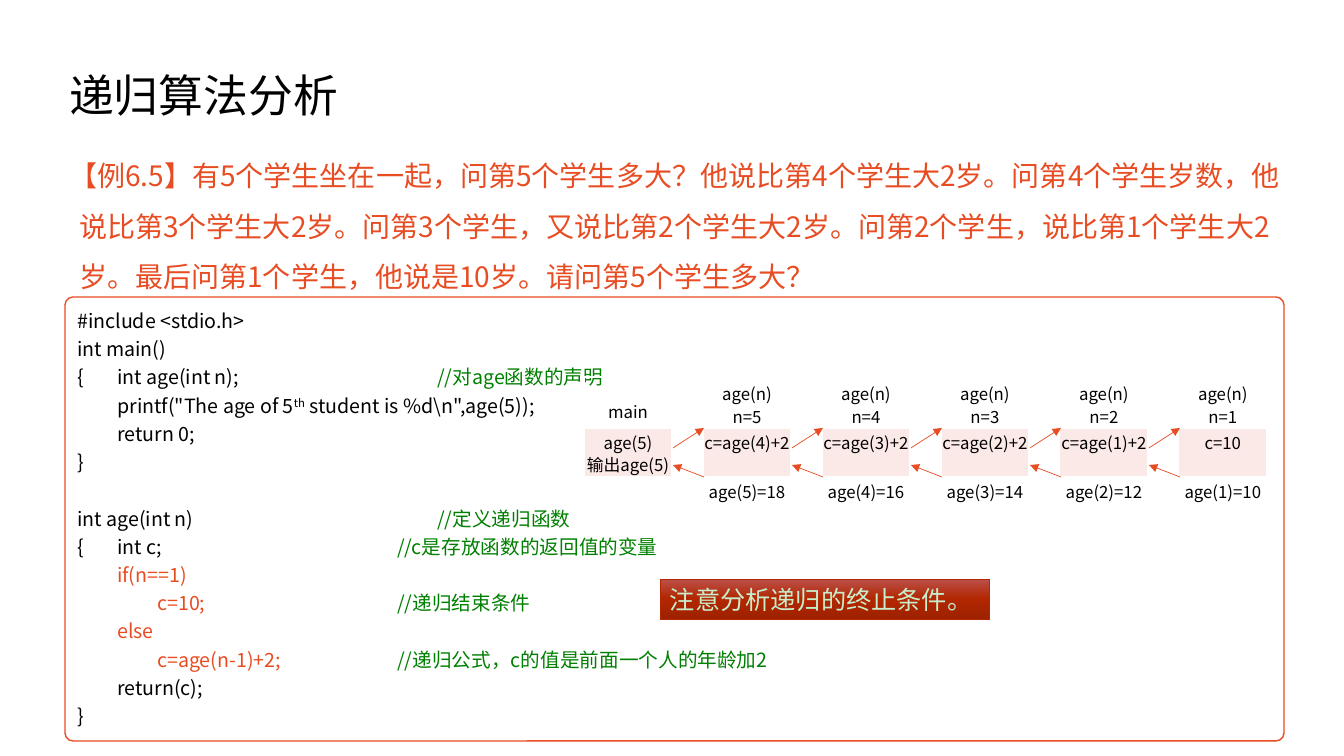
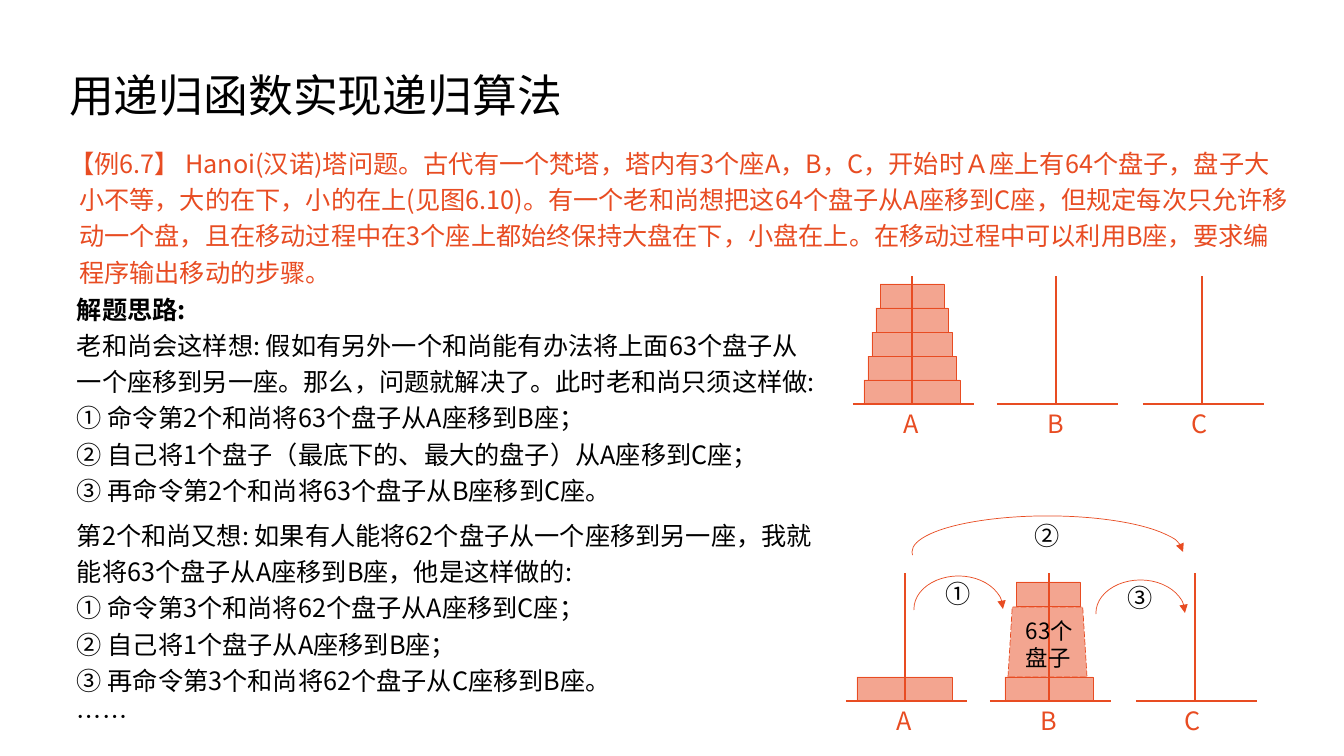
import copy
import pptx
import pptx.util
import pptx.dml.color
import pptx.enum.dml
import pptx.enum.shapes
import pptx.enum.text
import pptx.oxml.ns
import pptx.oxml.xmlchemy

RGB = pptx.dml.color.RGBColor
Pt = pptx.util.Pt
SHAPE = pptx.enum.shapes.MSO_SHAPE
ALIGN = pptx.enum.text.PP_ALIGN
ANCHOR = pptx.enum.text.MSO_ANCHOR
qn = pptx.oxml.ns.qn
element = pptx.oxml.xmlchemy.OxmlElement

FONT = "Noto Sans CJK SC"
BLACK = RGB(0, 0, 0)
WHITE = RGB(255, 255, 255)
ORANGE = RGB(0xE8, 0x4C, 0x22)
GREEN = RGB(0, 0x80, 0)
PALE_GREEN = RGB(0xC7, 0xED, 0xCC)
PINK = RGB(0xFB, 0xE9, 0xE8)
BRICK = RGB(0xB2, 0x26, 0)
BRICK_LIGHT = RGB(0xBB, 0x51, 0x4B)
BRICK_DARK = RGB(0x9E, 0x22, 0)
SCALE = 914400 / 100.8


def write(tf, paragraphs, size, color=BLACK, spacing=1.0, align=ALIGN.LEFT, tabs=()):
    tf.word_wrap = True
    for i, runs in enumerate(paragraphs):
        p = tf.paragraphs[0] if i == 0 else tf.add_paragraph()
        formats = {"alignment": align, "line_spacing": spacing, "space_before": Pt(0)}
        for name, value in formats.items():
            setattr(p, name, value)
        if tabs:
            tab_list = element("a:tabLst")
            for pos in tabs:
                tab = element("a:tab")
                tab.set("pos", str(int(pos * SCALE)))
                tab.set("algn", "l")
                tab_list.append(tab)
            p._p.get_or_add_pPr().append(tab_list)
        for text, fmt in [(runs, {})] if isinstance(runs, str) else runs:
            r = p.add_run()
            r.text = text
            for name, value in {"size": Pt(size), "name": FONT, "bold": fmt.get("bold", False)}.items():
                setattr(r.font, name, value)
            r.font.color.rgb = fmt.get("color", color)
            rPr = r._r.get_or_add_rPr()
            ea = element("a:ea")
            ea.set("typeface", FONT)
            rPr.append(ea)
            if "baseline" in fmt:
                rPr.set("baseline", fmt["baseline"])


def draw(s, kind, box, line=ORANGE, width=0.5, fill=None, alpha=None, arrow=False):
    box = [int(v * SCALE) for v in box]
    if kind == "line":
        sp = s.shapes.add_connector(pptx.enum.shapes.MSO_CONNECTOR.STRAIGHT, *box)
    else:
        sp = s.shapes.add_shape(kind, *box)
        sp.shadow.inherit = False
        if fill is None:
            sp.fill.background()
        else:
            sp.fill.solid()
            sp.fill.fore_color.rgb = fill
        if alpha:
            a = element("a:alpha")
            a.set("val", str(alpha * 1000))
            sp._element.spPr.find(qn("a:solidFill"))[0].append(a)
    sp.line.color.rgb = line
    sp.line.width = Pt(width)
    if kind == "line":
        sp._element.spPr.append(element("a:effectLst"))
    if arrow:
        tail = element("a:tailEnd")
        tail.set("type", "triangle")
        sp._element.spPr.find(qn("a:ln")).append(tail)
    return sp


prs = pptx.Presentation()
prs.slide_width = int(1344 * SCALE)
prs.slide_height = int(756 * SCALE)
layout = prs.slide_layouts[1]

topics = [
    ("递归算法分析", 60, 20, 36,
     "【例6.5】有5个学生坐在一起，问第5个学生多大？他说比第4个学生大2岁。问第4个学生岁数，他说比第3个学生大2岁。"
     "问第3个学生，又说比第2个学生大2岁。问第2个学生，说比第1个学生大2岁。最后问第1个学生，他说是10岁。请问第5个学生多大？"),
    ("用递归函数实现递归算法", 152, 18, 25.92,
     "【例6.7】 Hanoi(汉诺)塔问题。古代有一个梵塔，塔内有3个座A，B，C，开始时Ａ座上有64个盘子，盘子大小不等，大的在下，"
     "小的在上(见图6.10)。有一个老和尚想把这64个盘子从A座移到C座，但规定每次只允许移动一个盘，且在移动过程中在3个座上都"
     "始终保持大盘在下，小盘在上。在移动过程中可以利用B座，要求编程序输出移动的步骤。"),
]
slides = []
for title, body_height, size, pitch, problem in topics:
    s = prs.slides.add_slide(layout)
    slides.append(s)
    body = s.placeholders[1]
    for ph, box in ((s.shapes.title, (59, 25, 1159, 146)), (body, (59, 137, 1242, body_height))):
        for name, value in zip(("left", "top", "width", "height"), box):
            setattr(ph, name, int(value * SCALE))
        ph.text_frame.auto_size = pptx.enum.text.MSO_AUTO_SIZE.NONE
    s.shapes.title.text_frame.vertical_anchor = ANCHOR.MIDDLE
    write(s.shapes.title.text_frame, [title], 32, spacing=0.9)
    write(body.text_frame, [problem], size, ORANGE, Pt(pitch))
    pPr = body.text_frame.paragraphs[0]._p.get_or_add_pPr()
    pPr.set("marL", str(int(10 * SCALE)))
    pPr.set("indent", str(int(-10 * SCALE)))
    pPr.append(element("a:buNone"))

ages, hanoi = slides

code_box = draw(ages, SHAPE.ROUNDED_RECTANGLE, (65, 297, 1219, 444), width=1, fill=WHITE)
code_box.adjustments[0] = 0.018
note, key = {"color": GREEN}, {"color": ORANGE}
code = [
    "#include <stdio.h>",
    "int main()",
    [("{\tint age(int n);\t", {}), ("//对age函数的声明", note)],
    [("\tprintf(\"The age of 5", {}), ("th", {"baseline": "30000"}), (" student is %d\\n\",age(5));", {})],
    "\treturn 0;",
    "}",
    [("int age(int n)\t", {}), ("//定义递归函数", note)],
    [("{\tint c;\t", {}), ("//c是存放函数的返回值的变量", note)],
    [("\tif(n==1)", key)],
    [("\t\tc=10;\t", key), ("//递归结束条件", note)],
    [("\telse", key)],
    [("\t\tc=age(n-1)+2;\t", key), ("//递归公式，c的值是前面一个人的年龄加2", note)],
    "\treturn(c);",
    "}",
]
tf = code_box.text_frame
tf.vertical_anchor = ANCHOR.TOP
write(tf, code, 14, spacing=Pt(20.16), tabs=(40, 80, 320))
for i, stops in ((2, (40, 360)), (6, (360,))):
    tab_list = tf.paragraphs[i]._p.pPr.find(qn("a:tabLst"))
    for tab in list(tab_list)[len(stops):]:
        tab_list.remove(tab)
    for tab, pos in zip(tab_list, stops):
        tab.set("pos", str(int(pos * SCALE)))
tf.paragraphs[6].space_before = Pt(20.16)

warning = draw(ages, SHAPE.RECTANGLE, (660, 579, 329, 40), line=BRICK)
warning.fill.gradient()
warning.fill.gradient_angle = 270
stops = warning._element.spPr.find(qn("a:gradFill")).find(qn("a:gsLst"))
stops.append(copy.deepcopy(stops[-1]))
for stop, position, color in zip(warning.fill.gradient_stops, (0, 0.5, 1), (BRICK_LIGHT, BRICK, BRICK_DARK)):
    stop.position = position
    stop.color.rgb = color
write(warning.text_frame, ["注意分析递归的终止条件。"], 18, PALE_GREEN)

calls = [(["main"], ["age(5)", "输出age(5)"], [])]
for n in range(5, 0, -1):
    step = f"c=age({n - 1})+2" if n > 1 else "c=10"
    calls.append((["age(n)", f"n={n}"], [step], [f"age({n})={8 + 2 * n}"]))
heights = (51, 49, 41)
frame = ages.shapes.add_table(3, 11, *[int(v * SCALE) for v in (584, 377, 683, sum(heights))])
table = frame.table
table.first_row = False
table.horz_banding = False
for i, column in enumerate(table.columns):
    column.width = int((31 if i % 2 else 88) * SCALE)
for j, row in enumerate(table.rows):
    row.height = int(heights[j] * SCALE)
    for i, cell in enumerate(row.cells):
        lines = [] if i % 2 else calls[i // 2][j]
        formats = {"margin_left": 0, "margin_right": 0, "margin_top": int(4 * SCALE),
                   "margin_bottom": int(5 * SCALE) if lines == ["main"] else 0,
                   "vertical_anchor": ANCHOR.TOP if j else ANCHOR.BOTTOM}
        for name, value in formats.items():
            setattr(cell, name, value)
        if j == 1 and lines:
            cell.fill.solid()
            cell.fill.fore_color.rgb = PINK
        else:
            cell.fill.background()
        if lines:
            write(cell.text_frame, lines, 12, spacing=Pt(16), align=ALIGN.CENTER)
        else:
            end = element("a:endParaRPr")
            end.set("sz", "1200")
            cell.text_frame.paragraphs[0]._p.append(end)

for i in range(5):
    x = 673 + 119 * i
    draw(ages, "line", (x, 448, x + 31, 428), arrow=True)
    draw(ages, "line", (x + 31, 477, x, 465), arrow=True)

solution = [
    [("解题思路:", {"bold": True})],
    "老和尚会这样想: 假如有另外一个和尚能有办法将上面63个盘子从一个座移到另一座。那么，问题就解决了。此时老和尚只须这样做:",
    "① 命令第2个和尚将63个盘子从A座移到B座；",
    "② 自己将1个盘子（最底下的、最大的盘子）从A座移到C座；",
    "③ 再命令第2个和尚将63个盘子从B座移到C座。",
    "第2个和尚又想: 如果有人能将62个盘子从一个座移到另一座，我就能将63个盘子从A座移到B座，他是这样做的:",
    "① 命令第3个和尚将62个盘子从A座移到C座；",
    "② 自己将1个盘子从A座移到B座；",
    "③ 再命令第3个和尚将62个盘子从C座移到B座。",
    "……",
]
tf = hanoi.shapes.add_textbox(*[int(v * SCALE) for v in (67, 283, 762, 459)]).text_frame
write(tf, solution, 18, spacing=Pt(25.92))
tf.paragraphs[5].space_before = Pt(6)

for first_pole, base in ((912, 404), (905, 701)):
    for offset in (0, 144, 290):
        pole = first_pole + offset
        draw(hanoi, "line", (pole - 59, base, pole + 62, base), width=1)
        draw(hanoi, "line", (pole, base, pole, base - 128), width=1)
    label = hanoi.shapes.add_textbox(*[int(v * SCALE) for v in (first_pole - 18, base - 1, 334, 40)])
    write(label.text_frame, ["A\tB\tC"], 18, ORANGE, tabs=(144, 288))

discs = [(864 + 4 * i, 380 - 24 * i, 96 - 8 * i, 24) for i in range(5)]
discs += [(857, 677, 95, 24), (1005, 677, 88, 24), (1016, 582, 64, 24)]
for box in discs:
    draw(hanoi, SHAPE.RECTANGLE, box, fill=ORANGE, alpha=50)
stack = draw(hanoi, SHAPE.TRAPEZOID, (1008, 607, 79, 70), fill=ORANGE, alpha=50)
stack.adjustments[0] = 0.061
stack.line.dash_style = pptx.enum.dml.MSO_LINE.LONG_DASH
count = hanoi.shapes.add_textbox(*[int(v * SCALE) for v in (1016, 612, 86, 64)])
write(count.text_frame, ["63个盘子"], 16, spacing=Pt(19.2))

for mark, box in (("①", (914, 576, 89, 66)), ("③", (1096, 580, 89, 66)), ("②", (912, 516, 271, 72))):
    move = draw(hanoi, SHAPE.ARC, box, arrow=True)
    move.adjustments[0] = 107.193
    move.adjustments[1] = 0
    move.text_frame.vertical_anchor = ANCHOR.MIDDLE
    write(move.text_frame, [mark], 18, align=ALIGN.CENTER)

prs.save("out.pptx")
